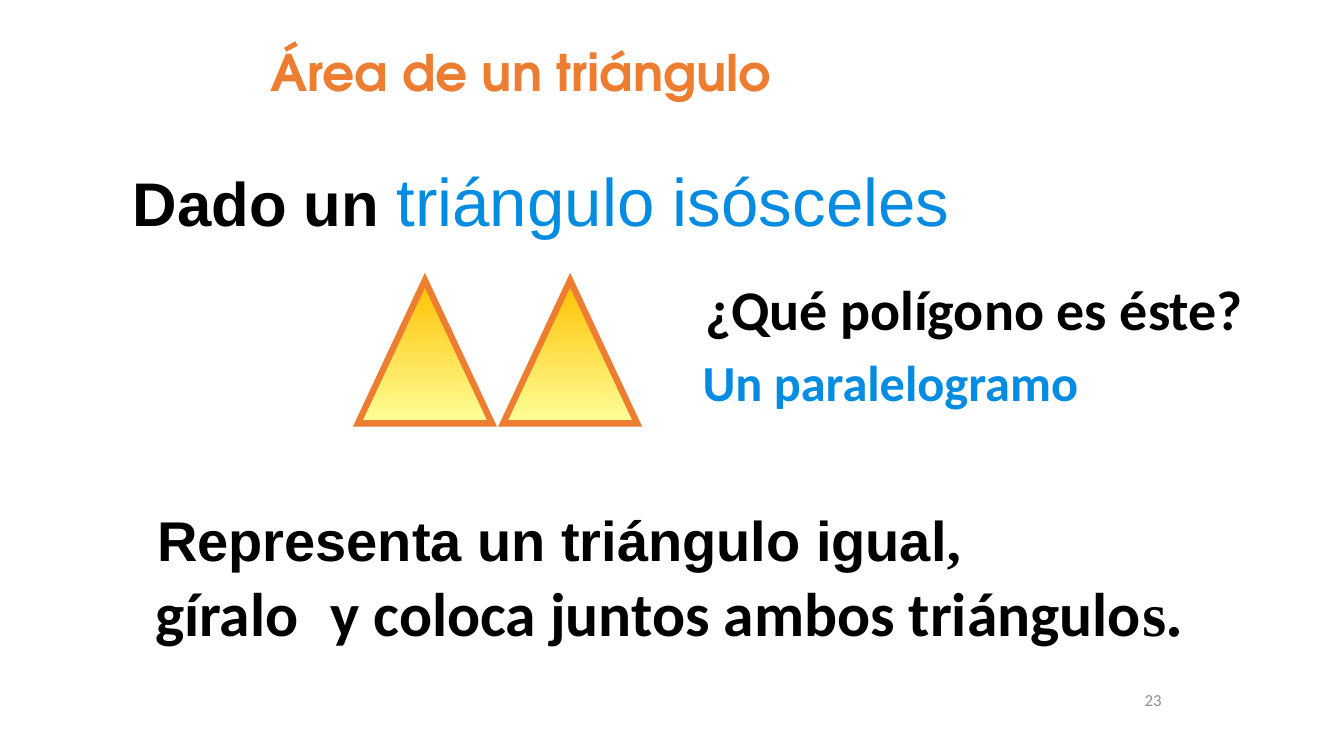
"""Build the slide on the area of a triangle."""
from lxml import etree
from pptx import Presentation, util as u
from pptx.dml.color import RGBColor
from pptx.enum import shapes, text
from pptx.oxml import ns

COLORS = {
    "black": "000000",
    "blue": "038CE1",
    "orange": "ED7D31",
    "amber": "FFC000",
    "yellow": "FFFF99",
    "gray": "8C8C8C",
}
LEFT, CENTER, RIGHT = text.PP_ALIGN.LEFT, text.PP_ALIGN.CENTER, text.PP_ALIGN.RIGHT
TOP, MIDDLE = text.MSO_ANCHOR.TOP, text.MSO_ANCHOR.MIDDLE


def place(box, left, top, width, height):
    """Set the bounds of a box in inches."""
    box.left, box.top = u.Inches(left), u.Inches(top)
    box.width, box.height = u.Inches(width), u.Inches(height)


def write(box, spans, align=LEFT, anchor=MIDDLE, wrap=True):
    """Fill a box with one paragraph of (words, font, size, color, bold) spans."""
    frame = box.text_frame
    frame.word_wrap = wrap
    frame.auto_size = text.MSO_AUTO_SIZE.NONE
    frame.vertical_anchor = anchor
    para = frame.paragraphs[0]
    para.alignment = align
    for words, name, size, color, bold in spans:
        span = para.add_run()
        span.text = words
        font = para.font if len(spans) == 1 else span.font
        font.name, font.size, font.bold = name, u.Pt(size), bold
        font.color.rgb = RGBColor.from_string(COLORS[color])


deck = Presentation()
deck.slide_width, deck.slide_height = u.Inches(13.33), u.Inches(7.5)
page = deck.slides.add_slide(deck.slide_layouts[5])

title = page.shapes.title
place(title, 1.33, 0.36, 7.67, 0.92)
write(title, [("Área de un triángulo", "TeX Gyre Adventor", 36, "orange", True)],
      CENTER, TOP, False)

texts = [
    ((1.22, 1.53, 8.39, 0.91), LEFT, MIDDLE,
     [("Dado un ", "Arial", 44, "black", True),
      ("triángulo isósceles", "Arial", 48, "blue", False)]),
    ((6.62, 2.67, 6.08, 0.77), CENTER, TOP,
     [("¿Qué polígono es éste?", "Calibri", 40, "black", True)]),
    ((6.87, 3.43, 4.76, 0.71), LEFT, TOP,
     [("Un paralelogramo", "Calibri", 36, "blue", True)]),
    ((1.46, 4.98, 9.39, 0.74), LEFT, MIDDLE,
     [("Representa un triángulo igual", "Arial", 40, "black", True),
      (",", "Times New Roman", 40, "black", True)]),
    ((1.44, 5.64, 1.74, 0.85), LEFT, MIDDLE,
     [("gíralo", "Calibri", 44, "black", True)]),
    ((3.18, 5.64, 9.13, 0.85), LEFT, MIDDLE,
     [("y coloca juntos ambos triángulo", "Calibri", 44, "black", True),
      ("s.", "Times New Roman", 44, "black", True)]),
    ((9.29, 6.74, 2.33, 0.4), RIGHT, MIDDLE,
     [("23", "Calibri", 12, "gray", False)]),
]
for bounds, align, anchor, spans in texts:
    box = page.shapes.add_textbox(0, 0, 0, 0)
    place(box, *bounds)
    write(box, spans, align, anchor)

for column in range(2):
    triangle = page.shapes.add_shape(shapes.MSO_SHAPE.ISOSCELES_TRIANGLE, 0, 0, 0, 0)
    place(triangle, 3.55 + 1.44 * column, 2.78, 1.33, 1.42)
    triangle.shadow.inherit = False
    triangle.fill.gradient()
    triangle.fill.gradient_angle = 270
    for stop, color in zip(triangle.fill.gradient_stops, ("amber", "yellow")):
        stop.color.rgb = RGBColor.from_string(COLORS[color])
    triangle.line.color.rgb = RGBColor.from_string(COLORS["orange"])
    triangle.line.width = u.Pt(4.5)
    outline = triangle.element.spPr.find(ns.qn("a:ln"))
    etree.SubElement(outline, ns.qn("a:miter"), lim="800000")

deck.save("out.pptx")
